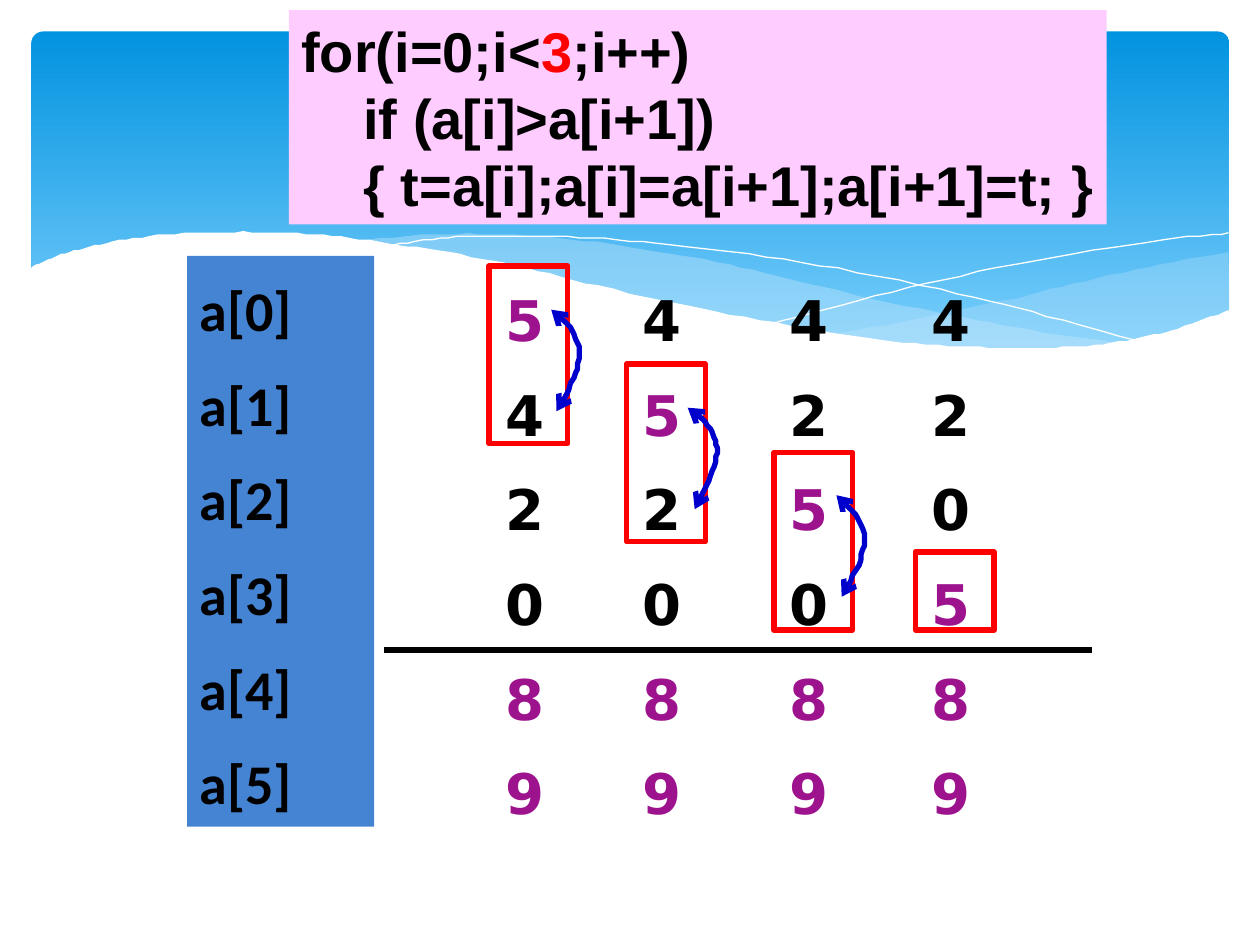
import pptx
import pptx.util
import pptx.dml.color
import pptx.enum.shapes
import pptx.enum.text
import pptx.oxml
import pptx.oxml.ns
import lxml.etree

Pt = pptx.util.Pt
RGBColor = pptx.dml.color.RGBColor
SHAPE = pptx.enum.shapes.MSO_SHAPE
qn = pptx.oxml.ns.qn

BLACK = RGBColor(0, 0, 0)
WHITE = RGBColor(255, 255, 255)
RED = RGBColor(255, 0, 0)
PURPLE = RGBColor(0x9D, 0x13, 0x8D)
NAVY = RGBColor(0, 0, 0xCC)
LABEL_BLUE = RGBColor(0x45, 0x84, 0xD3)
PINK = RGBColor(0xFF, 0xCC, 0xFF)
SKY_TOP = RGBColor(0x02, 0x93, 0xE0)
SKY_BOTTOM = RGBColor(0x83, 0xD3, 0xFE)
PALE_BLUE = RGBColor(0xC6, 0xE7, 0xFC)


def add_curve(shapes, edges, closed):
    outline = []
    for edge in edges:
        padded = [edge[0]] + edge + [edge[-1]]
        outline.append(edge[0])
        for a, b, c, d in zip(padded, padded[1:], padded[2:], padded[3:]):
            for step in range(1, 7):
                t = step / 6
                outline.append(tuple(
                    b[k] + t * (c[k] - a[k]) / 2
                    + t ** 2 * (2 * a[k] - 5 * b[k] + 4 * c[k] - d[k]) / 2
                    + t ** 3 * (3 * b[k] - a[k] - 3 * c[k] + d[k]) / 2
                    for k in (0, 1)))
    builder = shapes.build_freeform(*outline[0], scale=Pt(1))
    builder.add_line_segments(outline[1:], close=closed)
    shape = builder.convert_to_shape()
    shape.shadow.inherit = False
    shape.fill.background()
    shape.line.fill.background()
    return shape


def add_list(frame, texts, font_name, colors):
    frame.word_wrap = True
    frame.vertical_anchor = pptx.enum.text.MSO_ANCHOR.TOP
    for index, (text, color) in enumerate(zip(texts, colors)):
        paragraph = frame.paragraphs[0] if index == 0 else frame.add_paragraph()
        paragraph.text = text
        paragraph.alignment = pptx.enum.text.PP_ALIGN.LEFT
        paragraph.line_spacing = 1.2
        paragraph.space_before = Pt(8)
        paragraph.font.size = Pt(32)
        paragraph.font.bold = True
        paragraph.font.name = font_name
        paragraph.font.color.rgb = color


presentation = pptx.Presentation()
presentation.slide_width = Pt(720)
presentation.slide_height = Pt(540)
slide = presentation.slides.add_slide(presentation.slide_layouts[6])
shapes = slide.shapes

sky = shapes.add_shape(SHAPE.ROUNDED_RECTANGLE, Pt(18), Pt(18), Pt(684.5), Pt(194.4))
sky.adjustments[0] = 0.034
sky.shadow.inherit = False
sky.line.fill.background()
sky.fill.gradient()
sky.fill.gradient_angle = 270
for stop, color in zip(sky.fill.gradient_stops, (SKY_TOP, SKY_BOTTOM)):
    stop.color.rgb = color

right_wave = [
    [(702, 144), (663.1, 151.2), (619.9, 160.6), (579.6, 170.6), (524.9, 182.2), (475.9, 190.8)],
    [(475.9, 190.8), (507.6, 195.1), (536.4, 198), (578.2, 200.2), (614.9, 198.7),
     (645.8, 194.4), (673.2, 188.6), (702.7, 177.8)],
]
middle_wave = [
    [(643, 196.6), (602.6, 190.8), (558, 182.9), (508.3, 172.8), (452.9, 159.8), (409.7, 149.8),
     (370.1, 142.6), (334.1, 137.5), (287.3, 133.9), (247.7, 133.9), (205.9, 137.5)],
    [(205.9, 137.5), (246.2, 143.3), (290.9, 151.9), (353.5, 167), (407.5, 178.6), (456.5, 187.9),
     (500.4, 194.4), (538.6, 198.7), (581, 200.9), (617, 199.4), (643, 196.6)],
]
falling_line = [(222.5, 140.4), (247, 136.8), (278.6, 134.6), (324, 135.4), (367.2, 138.2),
                (419, 144), (478.8, 153.4), (547.2, 167.8), (598.3, 180.7), (653, 195.8)]
rising_line = [(441.4, 185), (500.4, 169.2), (558.7, 155.5), (623.5, 143.3), (665.3, 136.8),
               (702, 133.2)]
white_wave = [
    [(703.4, 177.1), (676.8, 186.5), (655.2, 192.2), (630, 196.6), (602.6, 198.7), (571, 198.7),
     (535.7, 197.3), (495.4, 193), (450.7, 185.8), (399.6, 176.4), (342, 163.4), (301, 153.4),
     (262.8, 145.4), (226.8, 139.7), (195.1, 135.4), (165.6, 133.2), (139, 132.5),
     (105.1, 133.2), (76.3, 136.1), (54, 140.4), (37.4, 144.7), (25.9, 149), (16.6, 153.4)],
    [(16.6, 236.9), (703.4, 236.9)],
]

for edges, opacity in ((right_wave, 29), (middle_wave, 40)):
    wave = add_curve(shapes, edges, True)
    wave.fill.solid()
    wave.fill.fore_color.rgb = PALE_BLUE
    color_element = wave.fill._xPr.find(qn("a:solidFill"))[0]
    lxml.etree.SubElement(color_element, qn("a:alpha")).set("val", str(opacity * 1000))
for points in (falling_line, rising_line):
    thin_line = add_curve(shapes, [points], False)
    thin_line.line.color.rgb = WHITE
    thin_line.line.width = Pt(0)
wave = add_curve(shapes, white_wave, True)
wave.fill.solid()
wave.fill.fore_color.rgb = WHITE

divider = shapes.add_connector(
    pptx.enum.shapes.MSO_CONNECTOR.STRAIGHT, Pt(219.6), Pt(371.5), Pt(624.2), Pt(371.5))
divider.line.color.rgb = BLACK
divider.line.width = Pt(3)
lxml.etree.SubElement(divider._element.spPr, qn("a:effectLst"))

swap_curve = [(3.6, 58.3), (13, 39.7), (16.6, 23.8), (11, 10.8), (0, 0)]
passes = [
    (281.5, "542089", 152, 101.5),
    (360, "452089", 208, 101.5),
    (444.3, "425089", 258.5, 101.5),
    (525, "420589", 315.4, 44.6),
]
for left, values, box_top, box_height in passes:
    column = shapes.add_textbox(Pt(left), Pt(152), Pt(56.2), Pt(326.2))
    add_list(column.text_frame, values, "DejaVu Sans",
             [PURPLE if value in "589" else BLACK for value in values])

    box = shapes.add_shape(
        SHAPE.FLOWCHART_PROCESS, Pt(left - 2), Pt(box_top), Pt(45), Pt(box_height))
    box.shadow.inherit = False
    box.fill.background()
    box.line.color.rgb = RED
    box.line.width = Pt(3)

    if box_height > 50:
        arrow = add_curve(
            shapes, [[(left + 33.2 + x, box_top + 24.6 + y) for x, y in swap_curve]], False)
        arrow.line.color.rgb = NAVY
        arrow.line.width = Pt(3)
        for end in ("a:headEnd", "a:tailEnd"):
            lxml.etree.SubElement(arrow.line._get_or_add_ln(), qn(end)).set("type", "arrow")

labels = shapes.add_shape(SHAPE.RECTANGLE, Pt(106.9), Pt(146.2), Pt(106.9), Pt(326.2))
code = shapes.add_shape(SHAPE.RECTANGLE, Pt(165.1), Pt(5.8), Pt(467.3), Pt(122.4))
for panel, color in ((labels, LABEL_BLUE), (code, PINK)):
    panel.shadow.inherit = False
    panel.fill.solid()
    panel.fill.fore_color.rgb = color
    panel.line.fill.background()
add_list(labels.text_frame, [f"a[{index}]" for index in range(6)], "Calibri", [BLACK] * 6)

code_lines = [
    (0, [("for(i=0;i<", BLACK), ("3", RED), (";i++)", BLACK)]),
    (35.5, [("if (a[i]>a[i+1])", BLACK)]),
    (35.5, [("{ t=a[i];a[i]=a[i+1];a[i+1]=t; }", BLACK)]),
]
frame = code.text_frame
frame.word_wrap = False
frame.vertical_anchor = pptx.enum.text.MSO_ANCHOR.TOP
for index, (indent, pieces) in enumerate(code_lines):
    paragraph = frame.paragraphs[0] if index == 0 else frame.add_paragraph()
    paragraph.alignment = pptx.enum.text.PP_ALIGN.LEFT
    paragraph._p.get_or_add_pPr().set("marL", str(Pt(indent)))
    paragraph.font.size = Pt(32)
    paragraph.font.bold = True
    paragraph.font.name = "Arial"
    for text, color in pieces:
        run = paragraph.add_run()
        run.text = text
        run.font.color.rgb = color

presentation.save("out.pptx")
